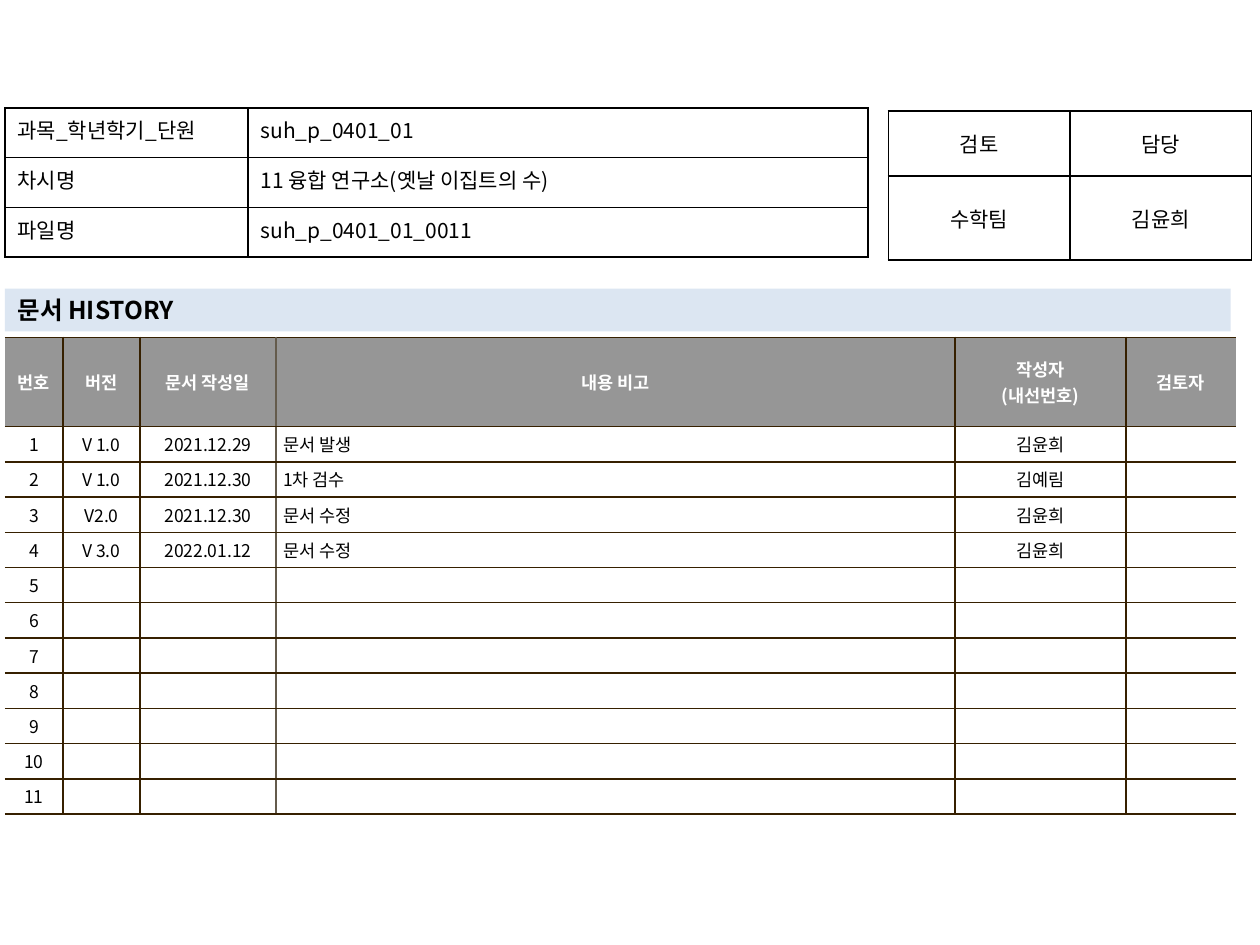
from lxml import etree
from pptx import Presentation
from pptx.dml.color import RGBColor
from pptx.enum.text import MSO_ANCHOR, MSO_AUTO_SIZE, PP_ALIGN
from pptx.oxml.ns import qn
from pptx.util import Cm, Pt

LEFT, MID = PP_ALIGN.LEFT, PP_ALIGN.CENTER
TOP, MIDDLE = MSO_ANCHOR.TOP, MSO_ANCHOR.MIDDLE
FONT = "Noto Sans CJK KR"
BLACK = RGBColor(0x00, 0x00, 0x00)
WHITE = RGBColor(0xFF, 0xFF, 0xFF)
GRAY = RGBColor(0x96, 0x96, 0x96)
BLUE = RGBColor(0xDC, 0xE6, 0xF2)
BROWN = RGBColor(0x36, 0x20, 0x00)
TAUPE = RGBColor(0x64, 0x5B, 0x4C)

# Content
TITLE = "문서 HISTORY"
LESSON = [
    ("과목_학년학기_단원", "suh_p_0401_01"),
    ("차시명", "11 융합 연구소(옛날 이집트의 수)"),
    ("파일명", "suh_p_0401_01_0011"),
]
REVIEW = [("검토", "담당"), ("수학팀", "김윤희")]
HEAD = ("번호", "버전", "문서 작성일", "내용 비고", "작성자\n(내선번호)", "검토자")
LOG = [
    ("V 1.0", "2021.12.29", "문서 발생", "김윤희", ""),
    ("V 1.0", "2021.12.30", "1차 검수", "김예림", ""),
    ("V2.0", "2021.12.30", "문서 수정", "김윤희", ""),
    ("V 3.0", "2022.01.12", "문서 수정", "김윤희", ""),
]
COUNT = 11
BLANK = ("",) * 5

# Column widths and row heights in cm
LOG_COLS = (1.17, 1.55, 2.74, 13.69, 3.45, 2.21)
LOG_ROWS = (1.8,) + (0.71,) * COUNT
NOTE = HEAD.index("내용 비고")


def style(frame, size, color, bold, align):
    for para in frame.paragraphs:
        para.alignment = align
        for run in para.runs:
            font = run.font
            font.name, font.size, font.bold = FONT, Pt(size), bold
            font.color.rgb = color
            east = etree.SubElement(font._element, qn("a:ea"))
            east.set("typeface", FONT)
        if not para.runs:
            # An empty cell keeps the row as low as its text size
            end = etree.SubElement(para._p, qn("a:endParaRPr"))
            end.set("sz", str(size * 100))
            for tag in ("a:latin", "a:ea"):
                etree.SubElement(end, qn(tag)).set("typeface", FONT)


def border(cell, colors):
    """Draw the left, right, top and bottom edges; None leaves one open."""
    props = cell._tc.get_or_add_tcPr()
    for side, color in zip("LRTB", colors):
        line = etree.SubElement(props, qn(f"a:ln{side}"), w=str(Pt(1)))
        if color is None:
            etree.SubElement(line, qn("a:noFill"))
        else:
            fill = etree.SubElement(line, qn("a:solidFill"))
            etree.SubElement(fill, qn("a:srgbClr"), val=str(color))


def grid(slide, left, top, cols, rows, data):
    """Add a plain table and yield each cell with its row and column."""
    frame = slide.shapes.add_table(len(rows), len(cols), Cm(left), Cm(top),
                                   Cm(sum(cols)), Cm(sum(rows)))
    table = frame.table
    table.first_row = table.horz_banding = False
    for col, width in zip(table.columns, cols):
        col.width = Cm(width)
    for row, height in zip(table.rows, rows):
        row.height = Cm(height)
    for r, texts in enumerate(data):
        for c, text in enumerate(texts):
            cell = table.cell(r, c)
            cell.text_frame.text = text
            yield cell, r, c


def box(slide, left, top, cols, rows, data, align, anchor):
    for cell, _, _ in grid(slide, left, top, cols, rows, data):
        border(cell, (BLACK,) * 4)
        cell.fill.background()
        cell.vertical_anchor = anchor
        style(cell.text_frame, 12, BLACK, False, align)


def history(slide):
    data = [HEAD]
    for i in range(COUNT):
        data.append((str(i + 1),) + (LOG[i] if i < len(LOG) else BLANK))
    # Vertical rules: open at both ends, paler before the notes
    rules = [None] + [BROWN] * (len(HEAD) - 1) + [None]
    rules[NOTE] = TAUPE
    for cell, r, c in grid(slide, 0.1, 6.8, LOG_COLS, LOG_ROWS, data):
        head = r == 0
        border(cell, (rules[c], rules[c + 1], BROWN, BROWN))
        cell.fill.solid()
        cell.fill.fore_color.rgb = GRAY if head else WHITE
        cell.margin_left = cell.margin_right = Cm(0.15)
        cell.margin_top = cell.margin_bottom = Cm(0.1)
        cell.vertical_anchor = MIDDLE
        align = LEFT if c == NOTE and not head else MID
        style(cell.text_frame, 10, WHITE if head else BLACK, head, align)


def heading(slide):
    bar = slide.shapes.title
    bar.left, bar.top = Cm(0.1), Cm(5.82)
    bar.width, bar.height = Cm(24.71), Cm(0.86)
    bar.fill.solid()
    bar.fill.fore_color.rgb = BLUE
    frame = bar.text_frame
    frame.text = TITLE
    frame.word_wrap = True
    frame.auto_size = MSO_AUTO_SIZE.NONE
    frame.vertical_anchor = MIDDLE
    style(frame, 14, BLACK, True, LEFT)


def main():
    deck = Presentation()
    deck.slide_width, deck.slide_height = Cm(25.4), Cm(19.05)
    slide = deck.slides.add_slide(deck.slide_layouts[5])
    # Document history
    heading(slide)
    history(slide)
    # Review and lesson boxes
    box(slide, 17.91, 2.24, (3.66, 3.66), (1.31, 1.69), REVIEW, MID, MIDDLE)
    box(slide, 0.1, 2.18, (4.9, 12.5), (1, 1, 1), LESSON, LEFT, TOP)
    deck.save("out.pptx")


if __name__ == "__main__":
    main()
